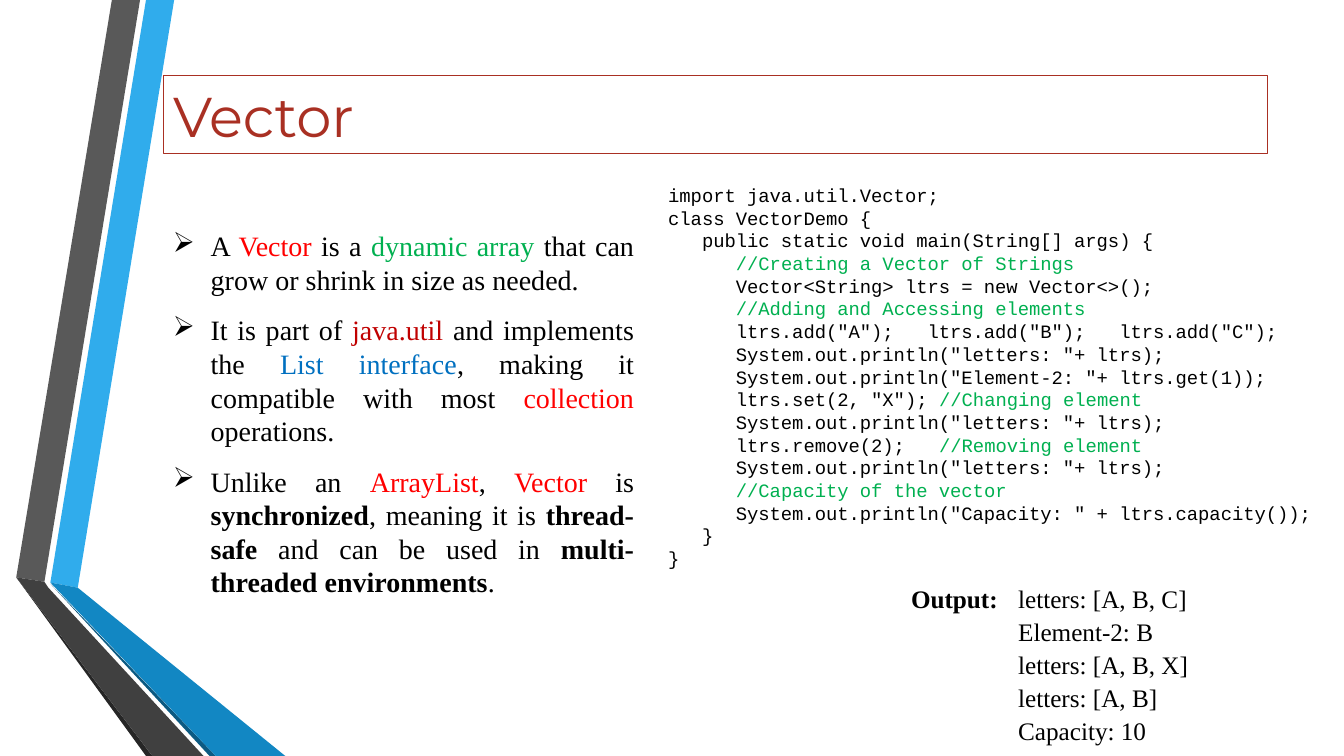
from dataclasses import dataclass

from lxml.etree import SubElement
from pptx import Presentation
from pptx.dml.color import RGBColor
from pptx.enum.text import MSO_ANCHOR as Anchor, PP_ALIGN as Align
from pptx.oxml.ns import qn
from pptx.util import Cm, Pt

BLACK, RED, GREEN = "000000", "FF0000", "00B050"
BRICK, WHITE = "A93023", "FFFFFF"
SERIF, MONO = "Times New Roman", "Courier New"


@dataclass
class Band:
    fill: str
    dots: list[tuple[float, float]]


@dataclass
class Bit:
    text: str
    color: str = BLACK
    bold: bool = False


@dataclass
class Style:
    font: str
    size: float
    line: float
    after: float = 0
    align: Align = Align.LEFT
    hang: float = 0
    bullet: str = ""


@dataclass
class Block:
    left: float
    top: float
    width: float
    height: float
    style: Style
    rows: list[list[Bit]]
    fill: str = ""


def paint(target, color: str) -> None:
    target.solid()
    target.fore_color.rgb = RGBColor.from_string(color)


def add_bit(para, bit: Bit, font: str, size: float) -> None:
    run = para.add_run()
    run.text = bit.text
    run.font.name, run.font.size, run.font.bold = font, Pt(size), bit.bold
    run.font.color.rgb = RGBColor.from_string(bit.color)


def draw_band(slide, band: Band) -> None:
    first, *rest = [(Cm(x), Cm(y)) for x, y in band.dots]
    pen = slide.shapes.build_freeform(*first)
    pen.add_line_segments(rest, close=True)
    shape = pen.convert_to_shape()
    shape.shadow.inherit = False
    paint(shape.fill, band.fill)
    shape.line.fill.background()


def draw_block(slide, block: Block) -> None:
    place = [Cm(n) for n in (block.left, block.top, block.width, block.height)]
    box = slide.shapes.add_textbox(*place)
    if block.fill:
        paint(box.fill, block.fill)
    frame, style = box.text_frame, block.style
    frame.word_wrap = True
    for i, row in enumerate(block.rows):
        para = frame.paragraphs[0] if i == 0 else frame.add_paragraph()
        para.alignment = style.align
        para.line_spacing, para.space_after = Pt(style.line), Pt(style.after)
        props = para._p.get_or_add_pPr()
        if style.hang:
            props.set("marL", str(Cm(style.hang)))
            # Rows that open with a label or a bullet hang to the left
            if style.bullet or row[0].bold:
                props.set("indent", str(-Cm(style.hang)))
        if style.bullet:
            SubElement(props, qn("a:buChar")).set("char", style.bullet)
        for bit in row:
            add_bit(para, bit, style.font, style.size)


def code_row(line: str) -> list[Bit]:
    code, mark, note = line.partition("//")
    bits = [Bit(code), Bit(mark + note, GREEN)]
    return [bit for bit in bits if bit.text]


# Ribbon down the left edge
FOOT = 19.05
BANDS = [
    Band("30ACEC", [(1.27, 14.68), (1.96, 14.81), (4.39, 0), (3.68, 0)]),
    Band("595959", [(3.53, 0), (2.82, 0), (0.41, 14.55), (1.12, 14.66)]),
    Band("262626", [(0.41, 14.55), (3.68, FOOT), (3.84, FOOT)]),
    Band("0C5A82", [(1.27, 14.71), (5.28, FOOT), (5.44, FOOT)]),
    Band("1287C3", [(1.27, 14.68), (5.44, FOOT), (7.19, FOOT), (1.96, 14.81)]),
    Band("404040", [(5.13, FOOT), (1.22, 14.81), (1.12, 14.66),
                    (0.41, 14.55), (3.84, FOOT)]),
]

# Facts about the class
FACTS = [
    [Bit("A "), Bit("Vector", RED), Bit(" is a "),
     Bit("dynamic array ", GREEN),
     Bit("that can grow or shrink in size as needed.")],
    [Bit("It is part of "), Bit("java.util ", "C00000"),
     Bit("and implements the "), Bit("List interface", "0070C0"),
     Bit(", making it compatible with most "), Bit("collection", RED),
     Bit(" operations.")],
    [Bit("Unlike an "), Bit("ArrayList", RED), Bit(", "),
     Bit("Vector", RED), Bit(" is "), Bit("synchronized", bold=True),
     Bit(", meaning it is "), Bit("thread-safe", bold=True),
     Bit(" and can be used in "),
     Bit("multi-threaded environments", bold=True), Bit(".")],
]

# Sample program and what it prints
CODE = '''import java.util.Vector;
class VectorDemo {
   public static void main(String[] args) {
      //Creating a Vector of Strings
      Vector<String> ltrs = new Vector<>();
      //Adding and Accessing elements
      ltrs.add("A");   ltrs.add("B");   ltrs.add("C");
      System.out.println("letters: "+ ltrs);
      System.out.println("Element-2: "+ ltrs.get(1));
      ltrs.set(2, "X"); //Changing element
      System.out.println("letters: "+ ltrs);
      ltrs.remove(2);   //Removing element
      System.out.println("letters: "+ ltrs);
      //Capacity of the vector
      System.out.println("Capacity: " + ltrs.capacity());
   }
}'''
PRINTS = [
    [Bit("Output:\t", bold=True), Bit("letters: [A, B, C]")],
    [Bit("Element-2: B")],
    [Bit("letters: [A, B, X]")],
    [Bit("letters: [A, B]")],
    [Bit("Capacity: 10")],
]

BLOCKS = [
    Block(4.11, 5.64, 12.12, 9.65,
          Style(SERIF, 20, 24, 12, Align.JUSTIFY, 0.95, "➢"), FACTS),
    Block(16.59, 4.5, 16.89, 10.06, Style(MONO, 13.5, 16.2),
          [code_row(line) for line in CODE.splitlines()], WHITE),
    Block(22.71, 14.58, 7.62, 4.39,
          Style(SERIF, 18, 21.6, 2, hang=2.7), PRINTS),
]


def main() -> None:
    deck = Presentation()
    deck.slide_width, deck.slide_height = Cm(33.87), Cm(FOOT)
    slide = deck.slides.add_slide(deck.slide_layouts[5])
    paint(slide.background.fill, WHITE)

    for band in BANDS:
        draw_band(slide, band)

    # Title
    title = slide.shapes.title
    title.left, title.top = Cm(4.11), Cm(1.9)
    title.width, title.height = Cm(27.84), Cm(1.98)
    paint(title.line.fill, BRICK)
    title.line.width = Pt(0.75)
    title.text_frame.vertical_anchor = Anchor.MIDDLE
    head = title.text_frame.paragraphs[0]
    head.alignment = Align.LEFT
    add_bit(head, Bit("Vector", BRICK), "Montserrat", 40)

    for block in BLOCKS:
        draw_block(slide, block)
    deck.save("out.pptx")


if __name__ == "__main__":
    main()
